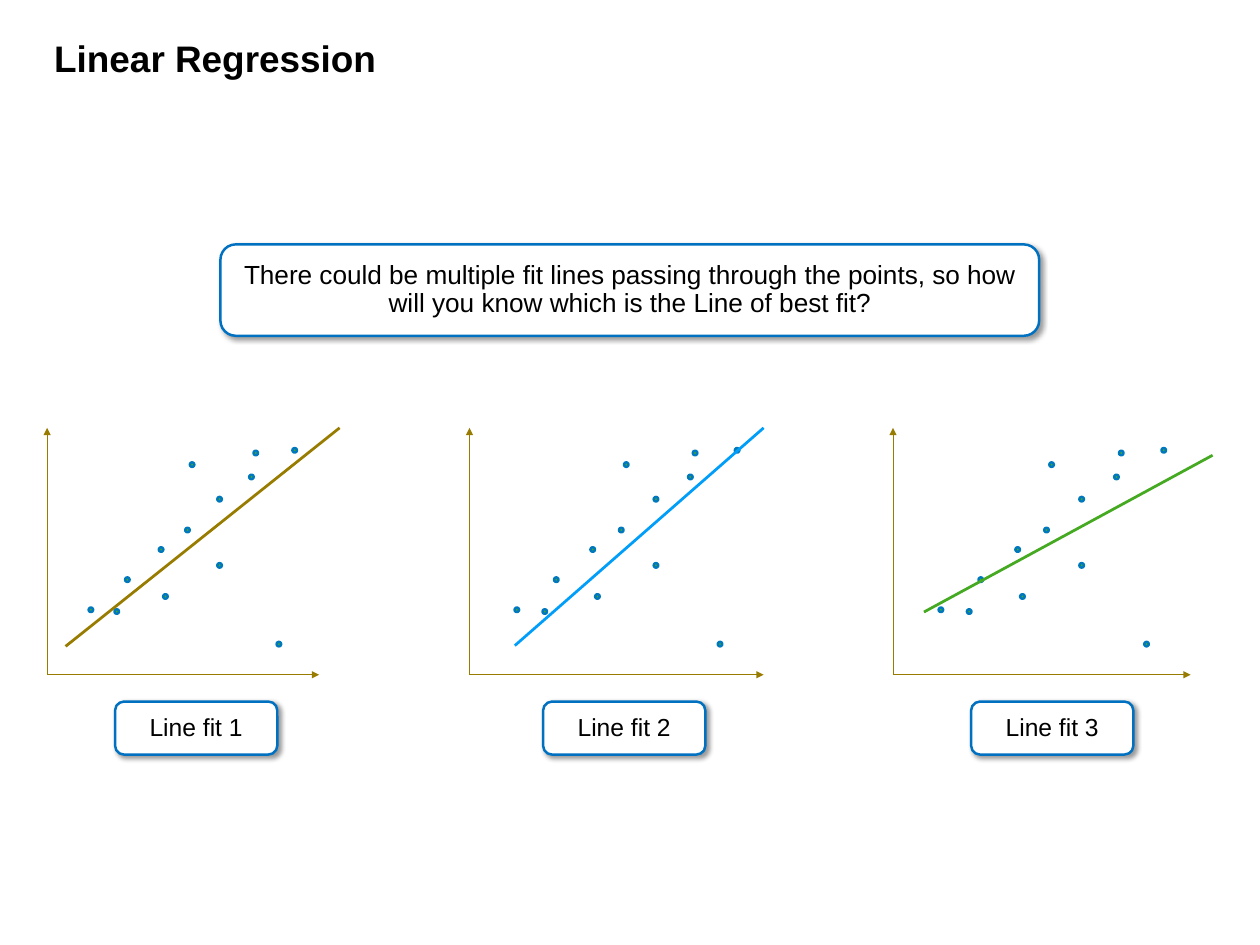
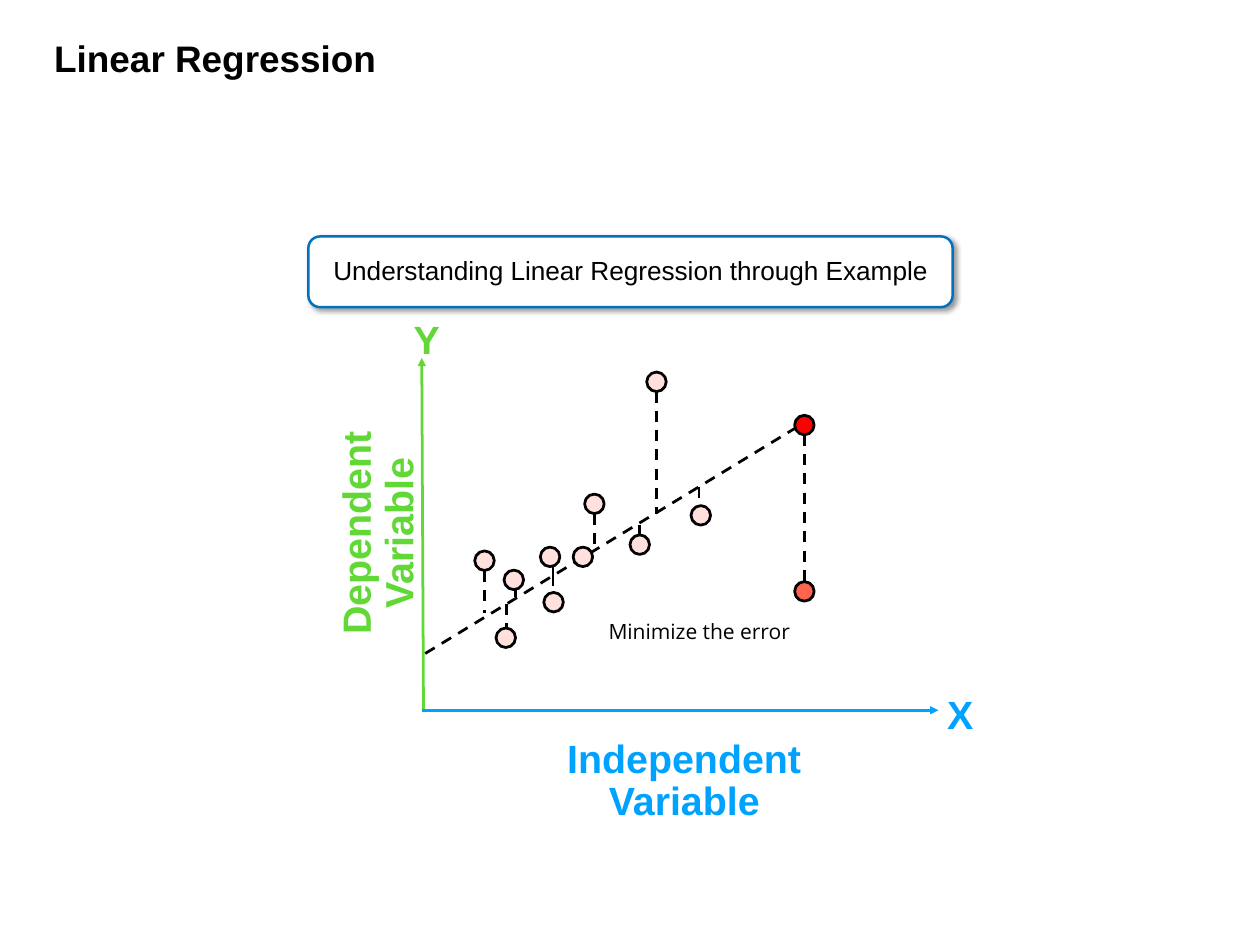
from pptx import Presentation
from pptx.dml.color import RGBColor
from pptx.enum.dml import MSO_LINE
from pptx.enum.shapes import MSO_CONNECTOR, MSO_SHAPE
from pptx.enum.text import MSO_ANCHOR, MSO_AUTO_SIZE, PP_ALIGN
from pptx.oxml import parse_xml
from pptx.oxml.ns import nsdecls, qn
from pptx.util import Cm, Pt

BLACK = RGBColor(0x00, 0x00, 0x00)
WHITE = RGBColor(0xFF, 0xFF, 0xFF)
FRAME_BLUE = RGBColor(0x00, 0x70, 0xC0)
DOT_BLUE = RGBColor(0x00, 0x78, 0xBD)
FIT_BLUE = RGBColor(0x00, 0x9E, 0xF9)
FIT_GREEN = RGBColor(0x45, 0xAA, 0x21)
OLIVE = RGBColor(0x98, 0x7C, 0x00)
AXIS_BLUE = RGBColor(0x00, 0xA2, 0xFF)
AXIS_GREEN = RGBColor(0x61, 0xD8, 0x36)
PINK = RGBColor(0xFF, 0xE0, 0xDC)
CORAL = RGBColor(0xFF, 0x64, 0x4E)
RED = RGBColor(0xFF, 0x00, 0x00)

FONT = "Arial"
TITLE = "Linear Regression"
TITLE_BOX = (1.3, 1.04, 18.64, 1.42)

DOTS = [(16.1, 73.7), (29.5, 61.5), (41.9, 49.3), (51.6, 41.4), (63.4, 28.9),
        (75.1, 19.9), (43.5, 68.3), (53.3, 14.9), (25.6, 74.4), (91.0, 9.1),
        (76.7, 10.2), (63.4, 55.7), (85.2, 87.6)]
FITS = [(1.35, 7.8, OLIVE, (6.8, 88.5), (107.5, 0)),
        (13.46, 8.43, FIT_BLUE, (15.4, 88.2), (100, 0)),
        (25.6, 8.53, FIT_GREEN, (10.4, 74.6), (107.4, 11.1))]

SAMPLES = [(1.8, 5.82), (3.78, 7.01), (3.68, 5.71), (2.41, 8.03), (4.62, 5.71),
           (8.0, 4.52), (4.95, 4.19), (2.64, 6.37), (6.73, 0.69), (6.25, 5.36)]
OUTLIER = (10.97, 6.7)
FIT_END = (10.97, 1.93)
ERRORS = [(10.97, 2.21, 6.43), (6.73, 0.97, 4.47), (6.25, 4.8, 5.08),
          (4.95, 4.47, 5.54), (3.76, 5.99, 6.22), (3.76, 6.22, 6.73),
          (2.42, 7.06, 7.75), (2.69, 6.65, 6.86), (1.8, 6.12, 7.32),
          (7.95, 3.71, 4.19)]


def write(tf, text, size, color=BLACK, bold=False, align=PP_ALIGN.CENTER, font=FONT):
    tf.word_wrap = True
    p = tf.paragraphs[0]
    p.alignment = align
    p.line_spacing = 0.9
    r = p.add_run()
    r.text = text
    r.font.name = font
    r.font.size = Pt(size)
    r.font.bold = bold
    r.font.color.rgb = color


def add_text(shapes, box, text, size, **style):
    sp = shapes.add_textbox(*map(Cm, box))
    write(sp.text_frame, text, size, **style)
    return sp


def add_line(shapes, start, end, color, width, dashed=False, arrow=False):
    c = shapes.add_connector(MSO_CONNECTOR.STRAIGHT, *map(Cm, (*start, *end)))
    c.line.color.rgb = color
    c.line.width = Pt(width)
    if dashed:
        c.line.dash_style = MSO_LINE.DASH
    pr = c.element.spPr
    if arrow:
        pr.find(qn("a:ln")).append(
            parse_xml(f'<a:tailEnd {nsdecls("a")} type="triangle"/>'))
    pr.append(parse_xml(f'<a:effectLst {nsdecls("a")}/>'))


def add_dot(shapes, center, size, fill, line, width):
    x, y = center
    sp = shapes.add_shape(MSO_SHAPE.OVAL, Cm(x - size / 2), Cm(y - size / 2),
                          Cm(size), Cm(size))
    sp.shadow.inherit = False
    sp.fill.solid()
    sp.fill.fore_color.rgb = fill
    sp.line.color.rgb = line
    sp.line.width = Pt(width)


def add_card(shapes, box, text, size):
    sp = shapes.add_shape(MSO_SHAPE.ROUNDED_RECTANGLE, *map(Cm, box))
    sp.fill.solid()
    sp.fill.fore_color.rgb = WHITE
    sp.line.color.rgb = FRAME_BLUE
    sp.line.width = Pt(2)
    sp.element.spPr.append(parse_xml(
        f'<a:effectLst {nsdecls("a")}><a:outerShdw blurRad="{Pt(4)}" dist="{Pt(3)}" '
        'dir="2700000" algn="tl" rotWithShape="0"><a:srgbClr val="000000">'
        '<a:alpha val="40000"/></a:srgbClr></a:outerShdw></a:effectLst>'))
    sp.text_frame.vertical_anchor = MSO_ANCHOR.MIDDLE
    write(sp.text_frame, text, size)


def add_titled_slide(prs):
    s = prs.slides.add_slide(prs.slide_layouts[5])
    title = s.shapes.title
    title.left, title.top, title.width, title.height = map(Cm, TITLE_BOX)
    tf = title.text_frame
    tf.auto_size = MSO_AUTO_SIZE.NONE
    tf.vertical_anchor = MSO_ANCHOR.TOP
    write(tf, TITLE, 30, bold=True, align=PP_ALIGN.LEFT)
    return s


def add_fit_plot(s, box, color, start, end):
    left, top, width, height = box

    def at(point):
        return left + width * point[0] / 100, top + height * point[1] / 100

    shapes = s.shapes.add_group_shape().shapes
    for tip in ((0, 0), (100, 100)):
        add_line(shapes, at((0, 100)), at(tip), OLIVE, 0.75, arrow=True)
    for dot in DOTS:
        add_dot(shapes, at(dot), 0.13, FIT_GREEN, DOT_BLUE, 2)
    add_line(shapes, at(start), at(end), color, 2.25)


def add_error_plot(s, box):
    left, top, width, height = box
    shapes = s.shapes

    def at(x, y):
        return left + x, top + y

    add_text(shapes, (*at(3.3, 10.82), 8.46, 2.72), "Independent Variable", 32,
             color=AXIS_BLUE, bold=True)
    sp = add_text(shapes, (*at(-4.45, 3.66), 6.5, 2.72), "Dependent Variable", 32,
                  color=AXIS_GREEN, bold=True)
    sp.rotation = 270
    add_text(shapes, (*at(width, 9.55), 2.08, 1.5), "X", 32,
             color=AXIS_BLUE, bold=True, align=PP_ALIGN.LEFT)
    add_text(shapes, (*at(-0.48, -1.19), 0.99, 1.5), "Y", 32,
             color=AXIS_GREEN, bold=True)

    add_line(shapes, at(0.05, height), at(0, 0), AXIS_GREEN, 2.25, arrow=True)
    add_line(shapes, at(0, height), at(width, height), AXIS_BLUE, 2.25, arrow=True)
    add_line(shapes, at(0.1, 8.48), at(11.18, 1.73), BLACK, 2.25, dashed=True)

    fills = [(p, PINK) for p in SAMPLES] + [(OUTLIER, CORAL), (FIT_END, RED)]
    for point, fill in fills:
        add_dot(shapes, at(*point), 0.56, fill, BLACK, 2.25)
    for x, y1, y2 in ERRORS:
        add_line(shapes, at(x, y1), at(x, y2), BLACK, 2.25, dashed=True)
    add_text(shapes, (*at(4.83, 7.44), 6.25, 0.91), "Minimize the error", 17.1,
             font="Open Sans")


def build_fits_slide(prs):
    s = add_titled_slide(prs)
    add_card(s.shapes, (6.32, 7.01, 23.47, 2.62),
             "There could be multiple fit lines passing through the points, "
             "so how will you know which is the Line of best fit?", 21.3)
    for i, (left, width, color, start, end) in enumerate(FITS):
        add_fit_plot(s, (left, 12.27, width, 7.08), color, start, end)
        add_card(s.shapes, (3.3 + 12.27 * i, 20.12, 4.65, 1.52), f"Line fit {i + 1}", 20)


def build_error_slide(prs):
    s = add_titled_slide(prs)
    add_card(s.shapes, (8.84, 6.78, 18.47, 2.03),
             "Understanding Linear Regression through Example", 21.3)
    add_error_plot(s, (12.09, 10.26, 14.81, 10.11))


def main():
    prs = Presentation()
    prs.slide_width, prs.slide_height = Cm(36.12), Cm(27.1)
    build_fits_slide(prs)
    build_error_slide(prs)
    prs.save("out.pptx")


if __name__ == "__main__":
    main()
